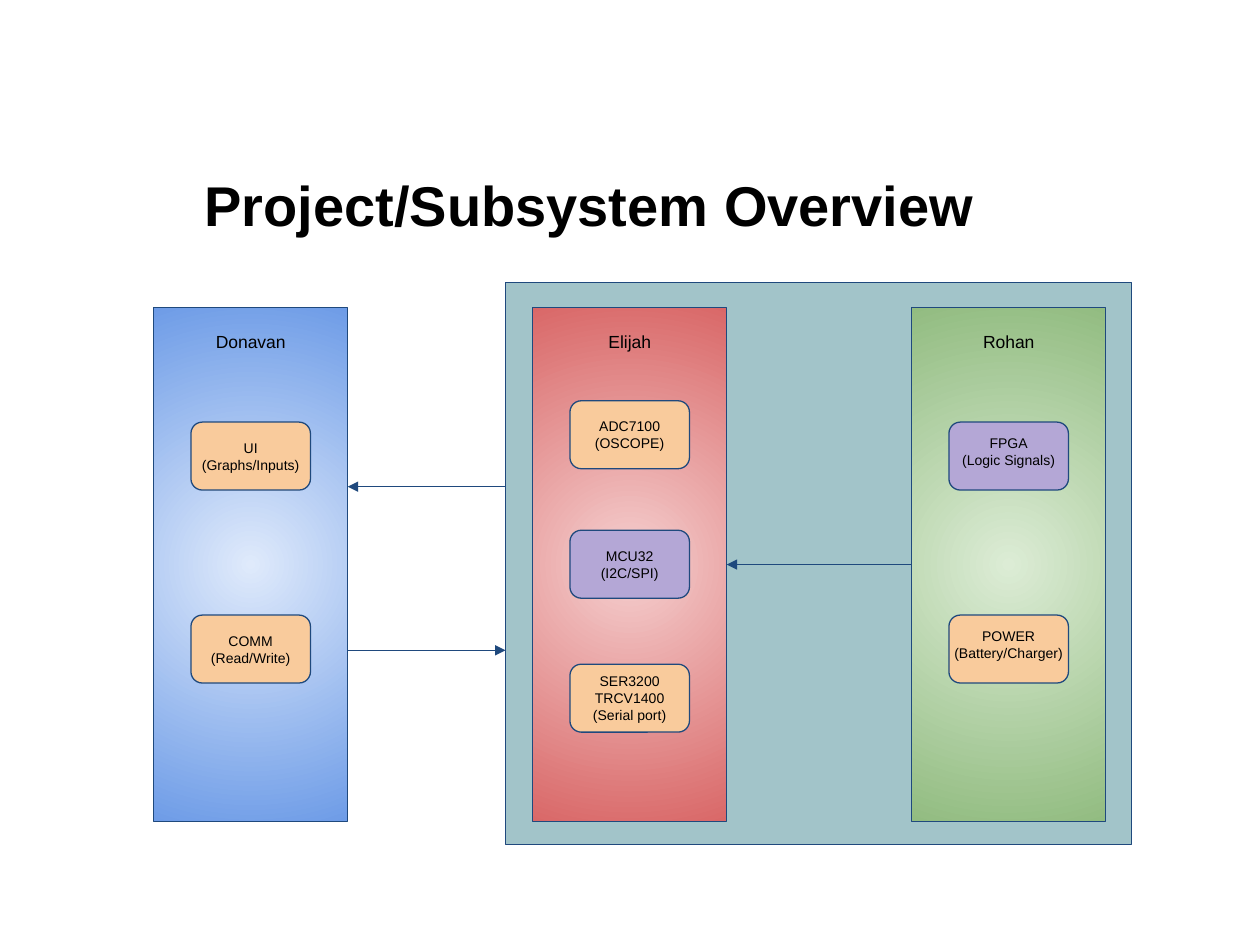
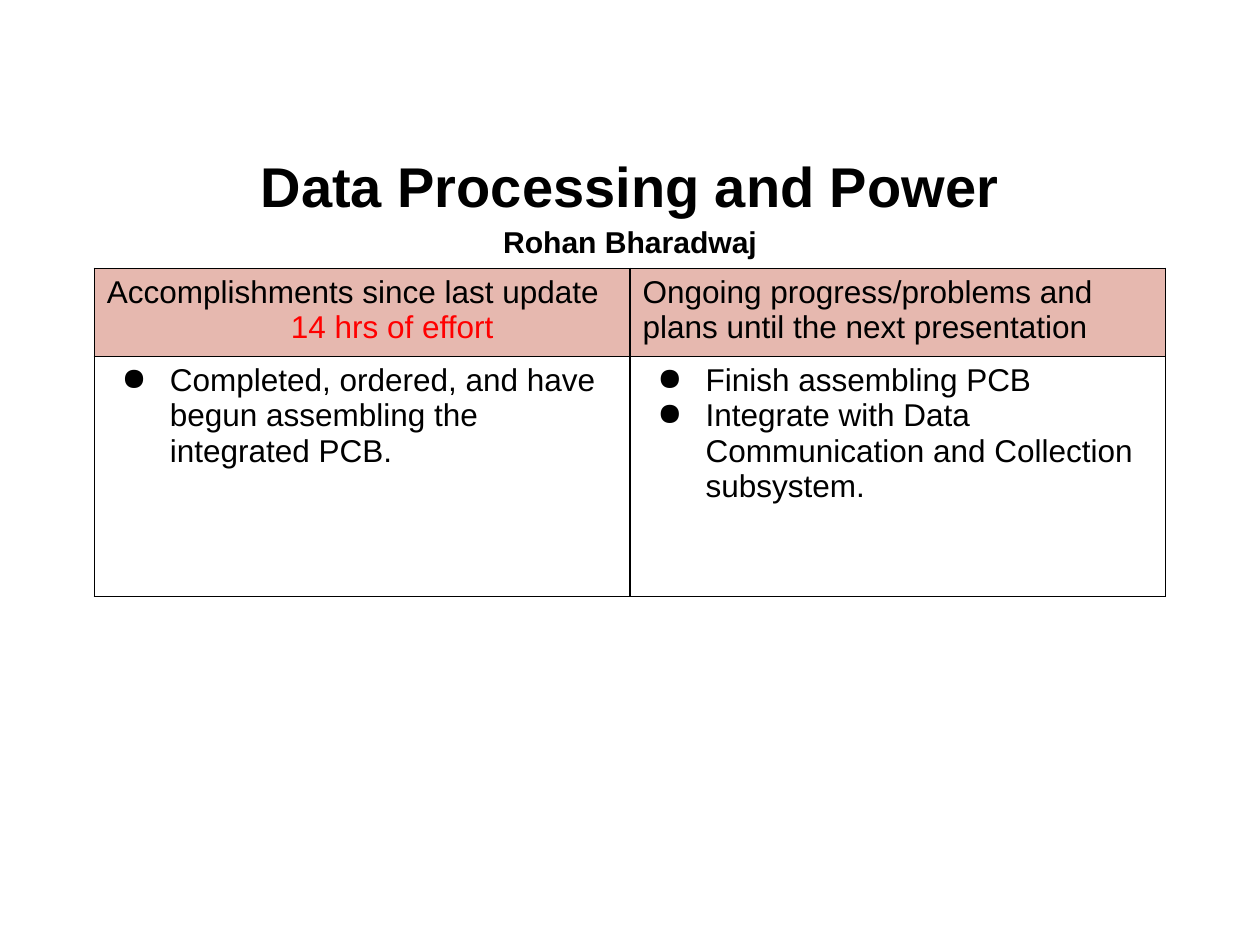
from lxml import etree
from pptx import Presentation
from pptx import util as u
from pptx.dml.color import RGBColor
from pptx.enum import shapes, text
from pptx.oxml.ns import qn

BLACK = RGBColor(0x00, 0x00, 0x00)
RED = RGBColor(0xFF, 0x00, 0x00)
NAVY = RGBColor(0x1F, 0x49, 0x7D)
TEAL = RGBColor(0xA2, 0xC4, 0xC9)
ORANGE = RGBColor(0xF9, 0xCB, 0x9C)
PURPLE = RGBColor(0xB4, 0xA7, 0xD6)
PINK = RGBColor(0xE6, 0xB8, 0xAF)
# Gradients run from the centre to the edge
BLUE_GLOW = RGBColor(0xDF, 0xEA, 0xFB), RGBColor(0x6E, 0x9C, 0xE7)
RED_GLOW = RGBColor(0xF5, 0xD0, 0xD0), RGBColor(0xD9, 0x68, 0x68)
GREEN_GLOW = RGBColor(0xDC, 0xEC, 0xD5), RGBColor(0x92, 0xBC, 0x81)

# Subsystem columns and the blocks inside them, in cm
COLUMN_LEFT, COLUMN_TOP, COLUMN_PITCH = 3.1, 6.2, 7.64
COLUMN_W, COLUMN_H = 3.91, 10.36
BLOCK_W, BLOCK_H = 2.41, 1.37


def add_xml(parent, tag, **attributes):
    return etree.SubElement(parent, qn(tag), attributes)


class Deck:
    font = "Arial"
    line_width = u.Pt(0.75)

    def __init__(self):
        self.prs = Presentation()
        self.prs.slide_width, self.prs.slide_height = u.Cm(25.4), u.Cm(19.05)
        self.slide = None

    def style(self, paragraph, size, color=BLACK, bold=False):
        for run in paragraph.runs:
            run.font.name, run.font.size = self.font, u.Pt(size)
            run.font.bold = bold
            run.font.color.rgb = color

    def new_slide(self, title, left, top, sizes=(32,), spacing=1.0):
        """Start a slide; sizes holds one font size for each title line."""
        self.slide = self.prs.slides.add_slide(self.prs.slide_layouts[5])
        heading = self.slide.shapes.title
        heading.left, heading.top = u.Cm(left), u.Cm(top)
        heading.width, heading.height = u.Cm(22.86), u.Cm(2.24)
        frame = heading.text_frame
        frame.text = title
        frame.auto_size = text.MSO_AUTO_SIZE.NONE
        frame.vertical_anchor = text.MSO_ANCHOR.MIDDLE
        for paragraph, size in zip(frame.paragraphs, sizes):
            paragraph.alignment = text.PP_ALIGN.CENTER
            paragraph.line_spacing = spacing
            self.style(paragraph, size, bold=True)

    def box(self, left, top, width, height, fill, label="", size=8,
            kind=shapes.MSO_SHAPE.RECTANGLE):
        box = self.slide.shapes.add_shape(
            kind, u.Cm(left), u.Cm(top), u.Cm(width), u.Cm(height))
        box.shadow.inherit = False
        box.line.color.rgb, box.line.width = NAVY, self.line_width
        if isinstance(fill, RGBColor):
            box.fill.solid()
            box.fill.fore_color.rgb = fill
        else:
            self.radial_fill(box, fill)
        frame = box.text_frame
        frame.margin_left = frame.margin_right = 0
        frame.margin_top = frame.margin_bottom = 0
        if label:
            frame.text = label
        for paragraph in frame.paragraphs:
            paragraph.alignment = text.PP_ALIGN.CENTER
            self.style(paragraph, size)
        return box

    def radial_fill(self, box, colors):
        box.fill.gradient()
        for stop, color, position in zip(box.fill.gradient_stops, colors, (0, 1)):
            stop.color.rgb, stop.position = color, position
        gradient = box._element.spPr.find(qn("a:gradFill"))
        gradient.remove(gradient.find(qn("a:lin")))
        circle = add_xml(gradient, "a:path", path="circle")
        add_xml(circle, "a:fillToRect", l="50000", t="50000", r="50000", b="50000")

    def column(self, index, name, glow):
        column = self.box(COLUMN_LEFT + index * COLUMN_PITCH, COLUMN_TOP,
                          COLUMN_W, COLUMN_H, glow, name, 10)
        column.text_frame.vertical_anchor = text.MSO_ANCHOR.TOP
        column.text_frame.margin_top = u.Cm(0.48)
        return column

    def block(self, index, top, fill, label, raise_by=0):
        """Place a block in the middle of a column; raise_by lifts its text."""
        left = COLUMN_LEFT + index * COLUMN_PITCH + (COLUMN_W - BLOCK_W) / 2
        block = self.box(left, top, BLOCK_W, BLOCK_H, fill, label,
                         kind=shapes.MSO_SHAPE.ROUNDED_RECTANGLE)
        block.text_frame.vertical_anchor = text.MSO_ANCHOR.MIDDLE
        block.text_frame.margin_bottom = u.Cm(2 * raise_by)

    def arrow(self, start_x, end_x, y):
        arrow = self.slide.shapes.add_connector(
            shapes.MSO_CONNECTOR.STRAIGHT,
            u.Cm(start_x), u.Cm(y), u.Cm(end_x), u.Cm(y))
        arrow.line.color.rgb, arrow.line.width = NAVY, self.line_width
        properties = arrow._element.spPr
        add_xml(properties.find(qn("a:ln")), "a:tailEnd", type="triangle")
        add_xml(properties, "a:effectLst")
        return arrow

    def table(self, left, top, column_width, row_heights):
        width, height = 2 * column_width, sum(row_heights)
        table = self.slide.shapes.add_table(
            len(row_heights), 2, u.Cm(left), u.Cm(top),
            u.Cm(width), u.Cm(height)).table
        table.first_row = table.horz_banding = False
        for column in table.columns:
            column.width = u.Cm(column_width)
        for row, row_height in zip(table.rows, row_heights):
            row.height = u.Cm(row_height)
        return table

    def cell(self, cell, lines, fill=None, bullets=False):
        self.borders(cell)
        if fill is None:
            cell.fill.background()
        else:
            cell.fill.solid()
            cell.fill.fore_color.rgb = fill
        cell.text_frame.text = "\n".join(lines)
        for paragraph in cell.text_frame.paragraphs:
            self.style(paragraph, 18)
            if bullets:
                self.indent(paragraph, 1.27, -0.97)
                properties = paragraph._p.get_or_add_pPr()
                color = add_xml(properties, "a:buClr")
                add_xml(color, "a:srgbClr", val=str(BLACK))
                add_xml(properties, "a:buChar", char="●")

    def indent(self, paragraph, margin, first=0):
        properties = paragraph._p.get_or_add_pPr()
        properties.set("marL", str(u.Cm(margin)))
        properties.set("indent", str(u.Cm(first)))

    def borders(self, cell):
        properties = cell._tc.get_or_add_tcPr()
        for side in ("a:lnL", "a:lnR", "a:lnT", "a:lnB"):
            edge = add_xml(properties, side, w=str(u.Pt(1)))
            add_xml(add_xml(edge, "a:solidFill"), "a:srgbClr", val=str(BLACK))


def subsystem_overview(deck):
    deck.new_slide("Project/Subsystem Overview ", 0.61, 3.0)
    panel_left = 10.19
    deck.box(panel_left, 5.69, 12.62, 11.33, TEAL)

    deck.column(0, "Donavan", BLUE_GLOW)
    elijah = deck.column(1, "Elijah", RED_GLOW)
    rohan = deck.column(2, "Rohan", GREEN_GLOW)

    upper, lower = 8.51, 12.4
    deck.block(0, upper, ORANGE, "UI\n(Graphs/Inputs)")
    deck.block(0, lower, ORANGE, "COMM\n(Read/Write)")
    deck.block(1, 8.08, ORANGE, "ADC7100\n(OSCOPE)")
    deck.block(1, 10.69, PURPLE, "MCU32\n(I2C/SPI)")
    deck.block(1, 13.39, ORANGE, "SER3200\nTRCV1400\n(Serial port)")
    deck.block(2, upper, PURPLE, "FPGA\n(Logic Signals)", 0.1)
    deck.block(2, lower, ORANGE, "POWER\n(Battery/Charger)", 0.1)

    donavan_right = COLUMN_LEFT + COLUMN_W
    deck.arrow(panel_left, donavan_right, 9.81)
    deck.arrow(donavan_right, panel_left, 13.11)
    rohan_to_elijah = deck.arrow(18.38, 14.65, 11.38)
    rohan_to_elijah.begin_connect(rohan, 1)
    rohan_to_elijah.end_connect(elijah, 3)


def data_processing(deck):
    deck.new_slide("Data Processing and Power\nRohan Bharadwaj",
                   1.27, 2.92, (32, 17.2), 1.15)
    progress = deck.table(1.9, 5.41, 10.8, (1.78, 4.83))
    done = progress.cell(0, 0)
    deck.cell(done, ["Accomplishments since last update", "14 hrs of effort"], PINK)
    effort = done.text_frame.paragraphs[1]
    deck.style(effort, 18, RED)
    deck.indent(effort, 3.71)
    deck.cell(progress.cell(0, 1), [
        "Ongoing progress/problems and plans until the next presentation"], PINK)
    deck.cell(progress.cell(1, 0), [
        "Completed, ordered, and have begun assembling the integrated PCB."],
        bullets=True)
    deck.cell(progress.cell(1, 1), [
        "Finish assembling PCB",
        "Integrate with Data Communication and Collection subsystem."],
        bullets=True)


def main():
    deck = Deck()
    subsystem_overview(deck)
    data_processing(deck)
    deck.prs.save("out.pptx")


if __name__ == "__main__":
    main()
